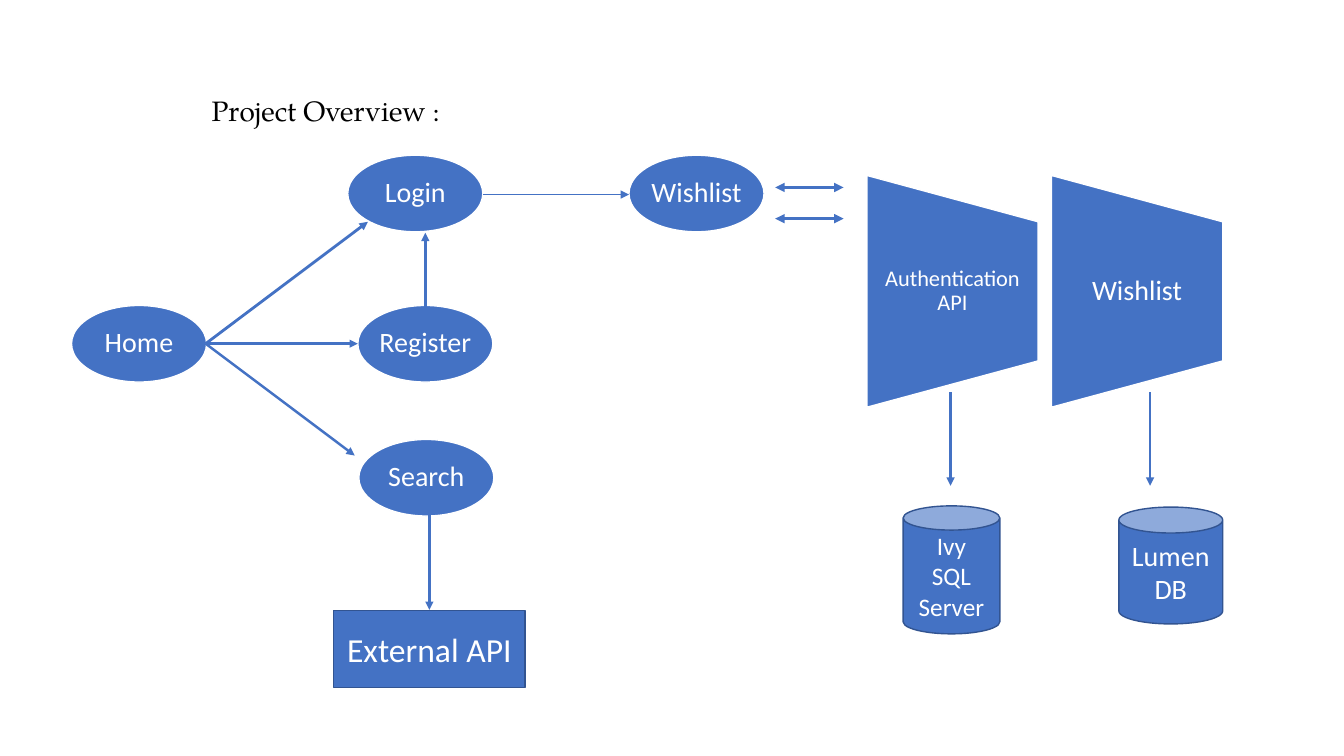
from pptx import Presentation
from pptx.dml.color import RGBColor
from pptx.enum import shapes, text
from pptx.oxml import ns
from pptx.util import Pt
from lxml import etree

COLORS = {"blue": "4472C4", "edge": "325491", "white": "FFFFFF", "black": "000000"}
KIND = shapes.MSO_SHAPE

deck = Presentation()
deck.slide_width, deck.slide_height = Pt(960), Pt(540)
page = deck.slides.add_slide(deck.slide_layouts[6])


def add_block(kind, left, top, width, height, edge):
    block = page.shapes.add_shape(kind, Pt(left), Pt(top), Pt(width), Pt(height))
    block.shadow.inherit = False
    block.fill.solid()
    block.fill.fore_color.rgb = RGBColor.from_string(COLORS["blue"])
    block.line.color.rgb = RGBColor.from_string(COLORS[edge])
    block.line.width = Pt(1)
    return block


def write_label(shape, label, size, side=7.2, upright=3.6, spacing=1.0, wrap=True):
    frame = shape.text_frame
    frame.text = label
    frame.word_wrap = wrap
    frame.vertical_anchor = text.MSO_ANCHOR.MIDDLE
    frame.margin_left = frame.margin_right = Pt(side)
    frame.margin_top = frame.margin_bottom = Pt(upright)
    for para in frame.paragraphs:
        para.alignment = text.PP_ALIGN.CENTER
        para.line_spacing = spacing
        for span in para.runs:
            span.font.name = "Calibri"
            span.font.size = Pt(size)
            span.font.color.rgb = RGBColor.from_string(COLORS["white"])


# Screens of the app
screens = [
    ("Home", 51.1, 218.2),
    ("Login", 248.4, 110.9),
    ("Register", 255.6, 218.2),
    ("Search", 256.3, 313.9),
    ("Wishlist", 449.3, 110.9),
]
for label, left, top in screens:
    screen = add_block(KIND.OVAL, left, top, 96.5, 54.7, "white")
    write_label(screen, label, 20, 1, 1, 0.9, wrap=False)

# Services: trapezoids on their side, with upright labels
services = [("Authentication API", 16, 8), ("Wishlist", 20, 10)]
for index, (label, size, side) in enumerate(services):
    shift = index * 131.8
    service = add_block(KIND.FLOWCHART_MANUAL_OPERATION,
                        597.6 + shift, 146.9, 165.6, 122.4, "white")
    service.rotation = 270
    box = page.shapes.add_textbox(Pt(619.2 + shift), Pt(158.4), Pt(122.4), Pt(99.4))
    write_label(box, label, size, side, 0, 0.9)

# Databases and the external interface
stores = [
    (KIND.CAN, "Ivy\nSQL\nServer", 18, 645.1, 361.4, 69.1, 91.4),
    (KIND.CAN, "Lumen DB", 20, 799.2, 362.2, 74.2, 83.5),
    (KIND.RECTANGLE, "External API", 24, 238.3, 436.3, 136.8, 54.7),
]
for kind, label, size, *place in stores:
    write_label(add_block(kind, *place, "edge"), label, size)

# Arrows: start, end, line width, both ends pointed
arrows = [
    (146.9, 245.5, 262.8, 158.4, 2, False),
    (146.9, 245.5, 255.6, 245.5, 1.75, False),
    (146.9, 245.5, 253.4, 325.4, 1.75, False),
    (344.9, 139, 449.3, 139, 0.5, False),
    (553.7, 133.9, 602.6, 133.9, 2.25, True),
    (553.7, 156.2, 602.6, 156.2, 2.25, True),
    (679, 280.1, 679, 347, 2, False),
    (821.5, 280.1, 821.5, 347, 2, False),
    (306.7, 367.2, 306.7, 435.6, 1.75, False),
    (303.8, 221, 303.8, 166.3, 1.75, False),
]
for x1, y1, x2, y2, width, both_ends in arrows:
    arrow = page.shapes.add_connector(
        shapes.MSO_CONNECTOR.STRAIGHT, Pt(x1), Pt(y1), Pt(x2), Pt(y2))
    arrow.line.color.rgb = RGBColor.from_string(COLORS["blue"])
    arrow.line.width = Pt(width)
    stroke = arrow.line._get_or_add_ln()
    for end in ["a:headEnd", "a:tailEnd"] if both_ends else ["a:tailEnd"]:
        etree.SubElement(stroke, ns.qn(end), type="triangle")
    etree.SubElement(arrow._element.spPr, ns.qn("a:effectLst"))

# Heading
heading = page.shapes.add_textbox(Pt(144), Pt(63.4), Pt(257.8), Pt(31.7))
heading.text_frame.word_wrap = True
para = heading.text_frame.paragraphs[0]
for words, font, size in [("Project Overview ", "TeX Gyre Pagella", 20), (":", "Calibri", 18)]:
    span = para.add_run()
    span.text = words
    span.font.name = font
    span.font.size = Pt(size)
    span.font.color.rgb = RGBColor.from_string(COLORS["black"])

deck.save("out.pptx")
